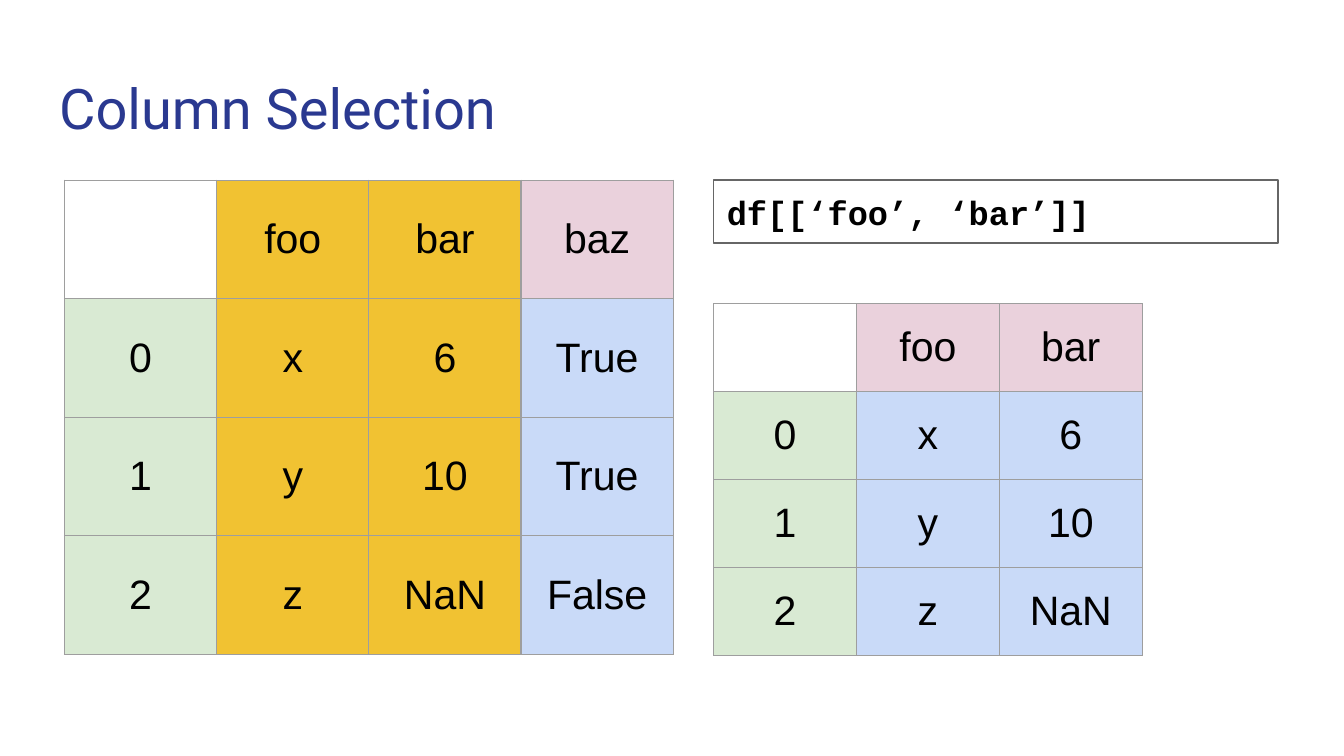
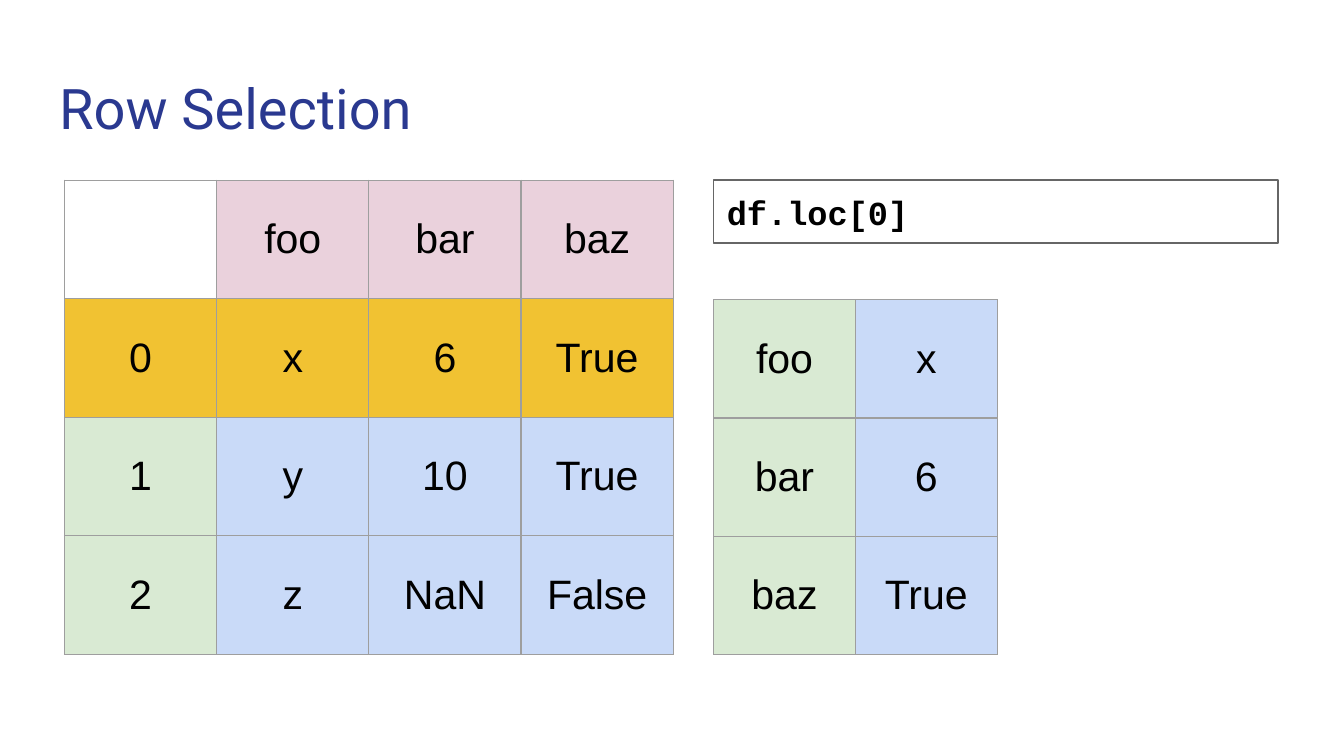
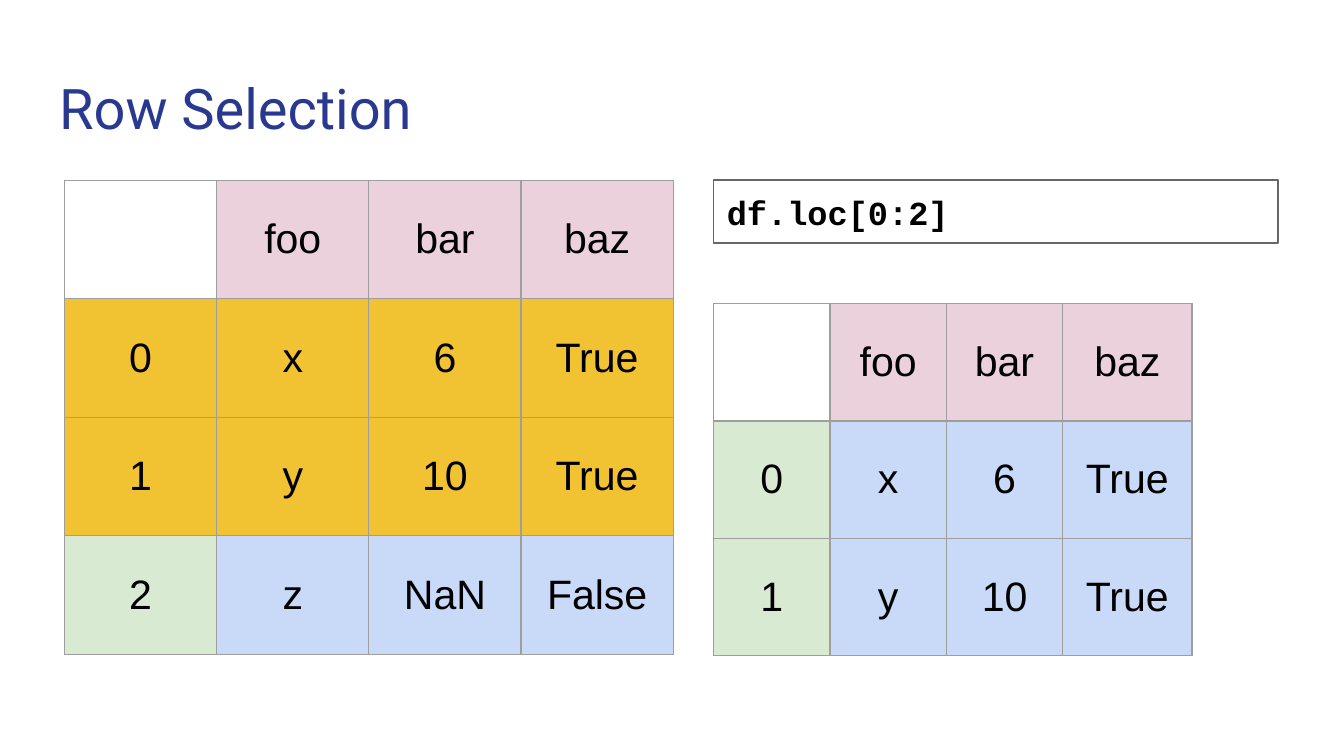
import lxml.etree
import pptx
import pptx.dml.color
import pptx.enum.shapes
import pptx.enum.text
import pptx.oxml.ns
import pptx.util

Inches = pptx.util.Inches
Pt = pptx.util.Pt
ANCHOR = pptx.enum.text.MSO_ANCHOR
ALIGN = pptx.enum.text.PP_ALIGN

COLORS = {
    "title": "2A3990",
    "text": "000000",
    "code_border": "666666",
    "grid": "9E9E9E",
    "corner": "FFFFFF",
    "header": "EAD1DC",
    "index": "D9EAD3",
    "value": "C9DAF8",
    "selected": "F1C232",
}
TITLE_FONT = {"name": "Roboto", "size": Pt(30), "bold": False}
CODE_FONT = {"name": "Courier New", "size": Pt(18), "bold": True}
CELL_FONT = {"name": "Arial", "size": Pt(22), "bold": False}
MARGINS = {f"margin_{side}": Inches(0.1) for side in ("left", "right", "top", "bottom")}
TITLE_FRAME = {**MARGINS, "word_wrap": True, "vertical_anchor": ANCHOR.TOP,
               "auto_size": pptx.enum.text.MSO_AUTO_SIZE.NONE}
CODE_FRAME = {**MARGINS, "word_wrap": True, "vertical_anchor": ANCHOR.MIDDLE}
CELL_FRAME = {**MARGINS, "vertical_anchor": ANCHOR.MIDDLE}
PLAIN_TABLE = {"first_row": False, "horz_banding": False}

SLIDE_WIDTH = Inches(10)
TITLE_BOX = (0.34, 0.45, 9.32, 0.66)
CODE_BOX = (5.31, 1.34, 4.2, 0.47)
FRAME_BOX = (0.48, 1.34, 4.53, 3.53)

DATA_FRAME = [
    ["", "foo", "bar", "baz"],
    ["0", "x", "6", "True"],
    ["1", "y", "10", "True"],
    ["2", "z", "NaN", "False"],
]

SELECTIONS = [
    {
        "title": "Column Selection",
        "code": "df[[‘foo’, ‘bar’]]",
        "selected_columns": (1, 2),
        "result": [row[:3] for row in DATA_FRAME],
        "result_box": (5.31, 2.26, 3.19, 2.62),
    },
    {
        "title": "Row Selection",
        "code": "df.loc[0]",
        "selected_rows": (1,),
        "result": [list(pair) for pair in zip(*DATA_FRAME[:2])][1:],
        "result_box": (5.31, 2.23, 2.11, 2.64),
        "result_has_header": False,
    },
    {
        "title": "Row Selection",
        "code": "df.loc[0:2]",
        "selected_rows": (1, 2),
        "result": DATA_FRAME[:3],
        "result_box": (5.31, 2.26, 3.56, 2.62),
        "result_weights": (0.9, 0.9, 0.9, 1),
    },
]


def apply_format(target, values):
    for attribute, value in values.items():
        setattr(target, attribute, value)


def rgb(color):
    return pptx.dml.color.RGBColor.from_string(COLORS[color])


def write_text(frame, text, font, color, alignment=ALIGN.LEFT):
    paragraph = frame.paragraphs[0]
    paragraph.alignment = alignment
    run = paragraph.add_run()
    run.text = text
    apply_format(run.font, font)
    run.font.color.rgb = rgb(color)


def place_title(slide, text, box):
    title = slide.shapes.title
    apply_format(title, dict(zip(("left", "top", "width", "height"), map(Inches, box))))
    apply_format(title.text_frame, TITLE_FRAME)
    write_text(title.text_frame, text, TITLE_FONT, "title")


def add_code(slide, text, box):
    code = slide.shapes.add_shape(pptx.enum.shapes.MSO_SHAPE.RECTANGLE, *map(Inches, box))
    code.shadow.inherit = False
    code.fill.background()
    code.line.color.rgb = rgb("code_border")
    code.line.width = Pt(0.75)
    apply_format(code.text_frame, CODE_FRAME)
    write_text(code.text_frame, text, CODE_FONT, "text")


def draw_borders(cell):
    qn = pptx.oxml.ns.qn
    properties = cell._tc.get_or_add_tcPr()
    for side in ("lnL", "lnR", "lnT", "lnB"):
        border = lxml.etree.SubElement(properties, qn(f"a:{side}"), w=str(Pt(0.75)))
        fill = lxml.etree.SubElement(border, qn("a:solidFill"))
        lxml.etree.SubElement(fill, qn("a:srgbClr"), val=COLORS["grid"])


def cell_color(row, column, has_header, selected_rows, selected_columns):
    if row in selected_rows or column in selected_columns:
        return "selected"
    if has_header and row == 0:
        return "header" if column else "corner"
    return "value" if column else "index"


def add_data_table(slide, values, box, weights=None, has_header=True,
                   selected_rows=(), selected_columns=()):
    width, height = box[2:]
    column_count = len(values[0])
    weights = weights or [1] * column_count
    table = slide.shapes.add_table(len(values), column_count, *map(Inches, box)).table
    apply_format(table, PLAIN_TABLE)
    for column, weight in zip(table.columns, weights):
        column.width = Inches(width * weight / sum(weights))
    for r, row_values in enumerate(values):
        table.rows[r].height = Inches(height / len(values))
        for c, value in enumerate(row_values):
            cell = table.cell(r, c)
            apply_format(cell, CELL_FRAME)
            draw_borders(cell)
            cell.fill.solid()
            cell.fill.fore_color.rgb = rgb(
                cell_color(r, c, has_header, selected_rows, selected_columns))
            if value:
                write_text(cell.text_frame, value, CELL_FONT, "text", ALIGN.CENTER)


def add_selection_slide(deck, selection):
    slide = deck.slides.add_slide(deck.slide_layouts[5])
    place_title(slide, selection["title"], TITLE_BOX)
    add_code(slide, selection["code"], CODE_BOX)
    add_data_table(slide, DATA_FRAME, FRAME_BOX,
                   selected_rows=selection.get("selected_rows", ()),
                   selected_columns=selection.get("selected_columns", ()))
    add_data_table(slide, selection["result"], selection["result_box"],
                   weights=selection.get("result_weights"),
                   has_header=selection.get("result_has_header", True))


def main():
    deck = pptx.Presentation()
    deck.slide_width = SLIDE_WIDTH
    deck.slide_height = SLIDE_WIDTH * 9 // 16
    for selection in SELECTIONS:
        add_selection_slide(deck, selection)
    deck.save("out.pptx")


if __name__ == "__main__":
    main()
